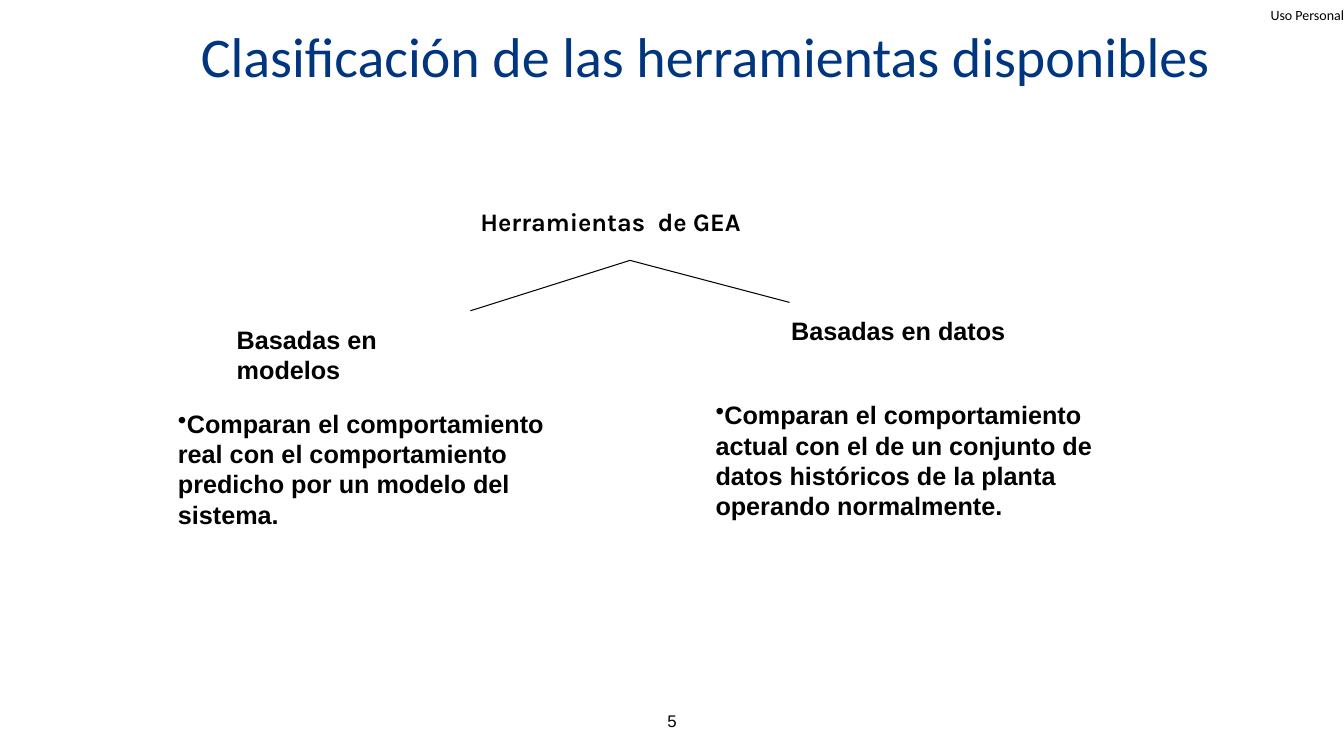
import pptx
import pptx.util
import pptx.dml.color
import pptx.enum.shapes
import pptx.enum.text
import pptx.oxml
import pptx.oxml.ns
from dataclasses import dataclass

ANCHOR = pptx.enum.text.MSO_ANCHOR
ALIGN = pptx.enum.text.PP_ALIGN


@dataclass(frozen=True)
class Theme:
    ink: str = "000000"
    accent: str = "003580"
    head_font: str = "Calibri"
    body_font: str = "Arial"
    root_font: str = "Karla"
    title: int = 40
    body: int = 18
    page: int = 12
    label: int = 10
    line: float = 0.75


class Deck:
    """Holds the theme and the slide; lengths are cells of a 160 x 90 grid."""

    COLS, ROWS = 160, 90

    def __init__(self, prs, theme):
        self.prs, self.theme = prs, theme
        self.s = prs.slides.add_slide(prs.slide_layouts[5])

    def x(self, cols):
        return round(self.prs.slide_width * cols / self.COLS)

    def y(self, rows):
        return round(self.prs.slide_height * rows / self.ROWS)

    def box(self, col, row, cols, rows):
        return self.x(col), self.y(row), self.x(cols), self.y(rows)

    def fill_text(self, sp, text, size, font, color=None, bold=False,
                  align=ALIGN.LEFT, anchor=ANCHOR.TOP, spacing=1.0):
        tf = sp.text_frame
        frame = {"word_wrap": True, "vertical_anchor": anchor,
                 "auto_size": pptx.enum.text.MSO_AUTO_SIZE.NONE}
        for name, value in frame.items():
            setattr(tf, name, value)
        p = tf.paragraphs[0]
        for name, value in {"alignment": align, "line_spacing": spacing}.items():
            setattr(p, name, value)
        r = p.add_run()
        r.text = text
        style = {"size": pptx.util.Pt(size), "name": font, "bold": bold}
        for name, value in style.items():
            setattr(r.font, name, value)
        r.font.color.rgb = pptx.dml.color.RGBColor.from_string(color or self.theme.ink)
        return p

    def title(self, text, *cells):
        sp = self.s.shapes.title
        sp.left, sp.top, sp.width, sp.height = self.box(*cells)
        self.fill_text(sp, text, self.theme.title, self.theme.head_font,
                       self.theme.accent, spacing=0.9)

    def text(self, text, *cells, size=None, font=None, inset=None, **style):
        sp = self.s.shapes.add_textbox(*self.box(*cells))
        if inset is not None:
            for side in ("left", "top", "right", "bottom"):
                setattr(sp.text_frame, f"margin_{side}", inset)
        return self.fill_text(sp, text, size or self.theme.body,
                              font or self.theme.body_font, **style)

    def bullet(self, text, *cells):
        pPr = self.text(text, *cells, bold=True)._p.get_or_add_pPr()
        for name in ("marL", "indent"):
            pPr.set(name, "0")
        pPr.append(pptx.oxml.parse_xml(
            f'<a:buChar {pptx.oxml.ns.nsdecls("a")} char="•"/>'))

    def branch(self, start, end):
        c = self.s.shapes.add_connector(
            pptx.enum.shapes.MSO_CONNECTOR.STRAIGHT,
            self.x(start[0]), self.y(start[1]), self.x(end[0]), self.y(end[1]))
        c.line.width = pptx.util.Pt(self.theme.line)
        c.line.color.rgb = pptx.dml.color.RGBColor.from_string(self.theme.ink)
        c._element.spPr.append(pptx.oxml.parse_xml(
            f'<a:effectLst {pptx.oxml.ns.nsdecls("a")}/>'))


prs = pptx.Presentation()
prs.slide_width = pptx.util.Inches(13.33)
prs.slide_height = pptx.util.Inches(7.5)
theme = Theme()
deck = Deck(prs, theme)

# Title, classification label and page number
deck.title("Clasificación de las herramientas disponibles", 22.7, 2.9, 131.3, 6.5)
deck.text("Uso Personal", 147.5, 0, 12.5, 3.5, size=theme.label, inset=0,
          font=theme.head_font, align=ALIGN.RIGHT, anchor=ANCHOR.MIDDLE)
deck.text("5", 53, 83.4, 54, 4.8, size=theme.page,
          align=ALIGN.CENTER, anchor=ANCHOR.MIDDLE)

# Root of the tree
deck.text("Herramientas  de GEA", 56, 24, 39, 4.8, font=theme.root_font, bold=True)

# Branches: heading, heading cells, description, description cells, line end
branches = [
    ("Basadas en modelos", (27, 38, 29, 8.5),
     "Comparan el comportamiento real con el comportamiento predicho "
     "por un modelo del sistema.", (20, 48, 48, 15.7), (56, 37)),
    ("Basadas en datos", (93, 37, 29, 4.8),
     "Comparan el comportamiento actual con el de un conjunto de datos "
     "históricos de la planta operando normalmente.", (84, 47, 53, 15.7), (94, 36)),
]
for heading, heading_cells, description, description_cells, end in branches:
    deck.text(heading, *heading_cells, bold=True)
    deck.bullet(description, *description_cells)
    deck.branch((75, 31), end)

prs.save("out.pptx")
